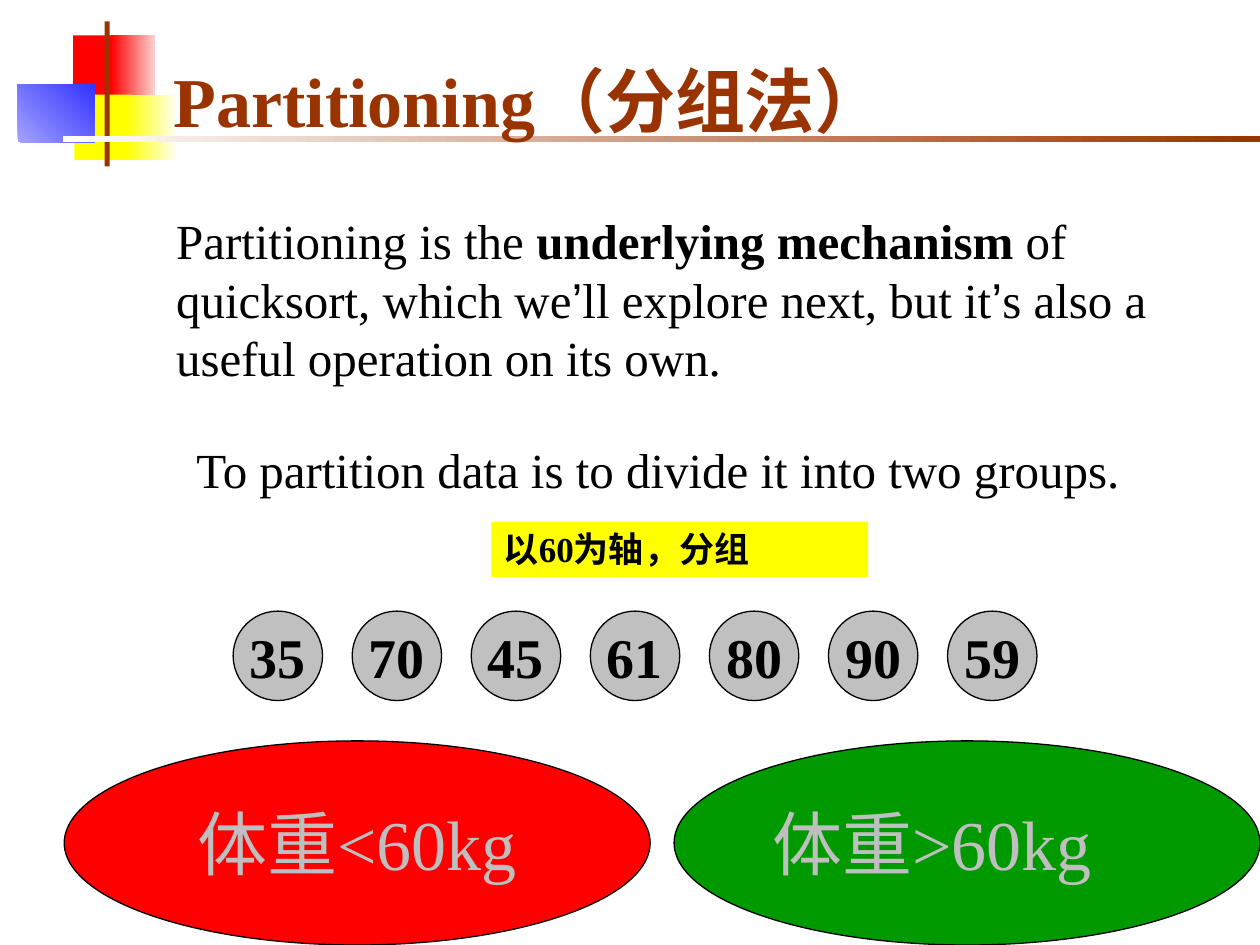
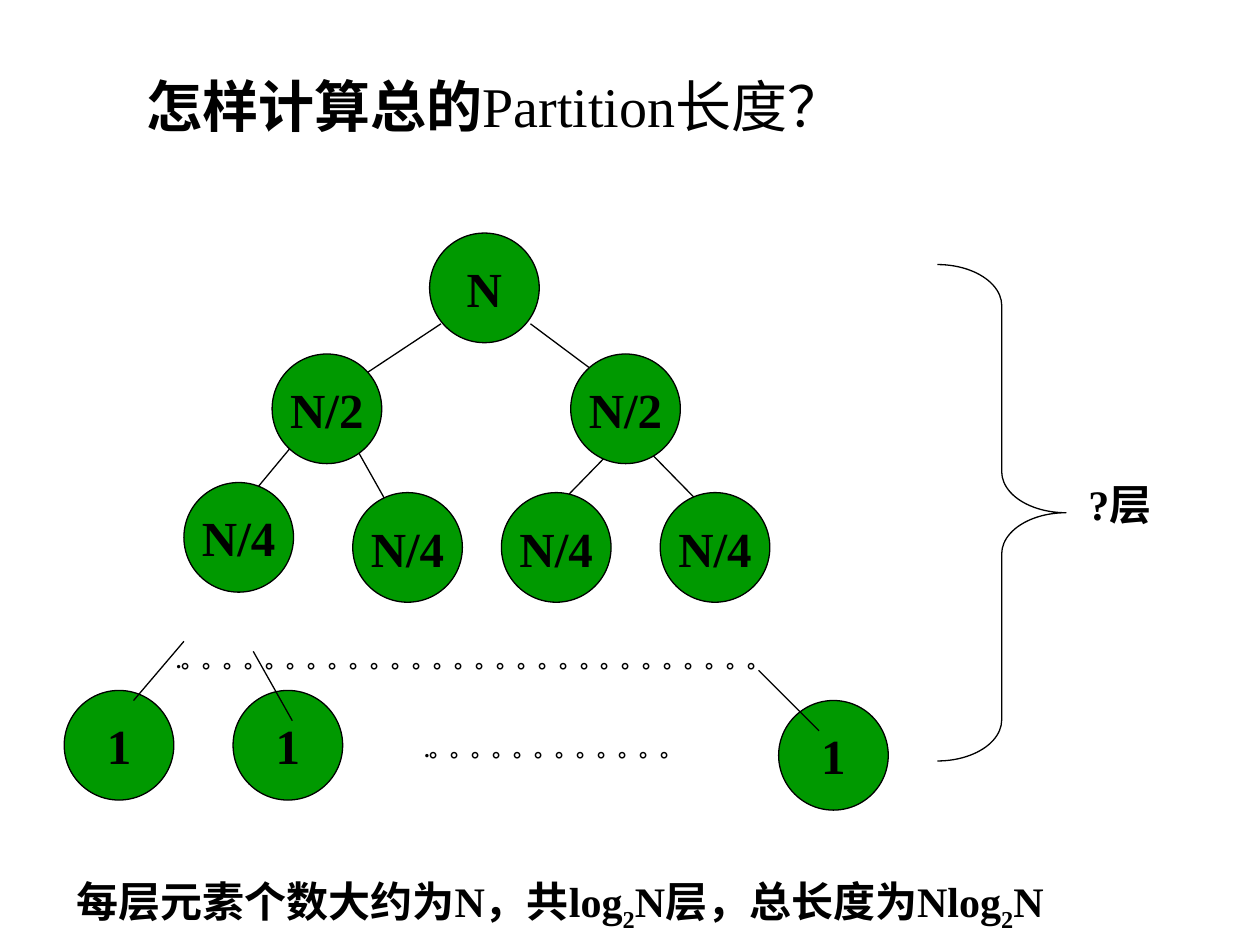
from lxml import etree
from pptx import Presentation
from pptx.dml.color import RGBColor
from pptx.enum.shapes import MSO_CONNECTOR, MSO_SHAPE as SHAPE
from pptx.enum.text import MSO_ANCHOR as ANCHOR, MSO_AUTO_SIZE as AUTO, PP_ALIGN as ALIGN
from pptx.oxml.ns import qn
from pptx.util import Inches, Pt

FONT = "Times New Roman"
BLACK, WHITE, BROWN = "000000", "FFFFFF", "993300"
RED, GREEN, YELLOW = "FF0000", "009900", "FFFF00"
GREY, LIGHT_GREY = "C0C0C0", "BFBFBF"
TITLE_ONLY = 5


def rgb(color):
    return RGBColor.from_string(color)


def write(shape, parts, size, color=BLACK, bold=False, align=ALIGN.LEFT, anchor=ANCHOR.TOP, wrap=True):
    """Fill a shape with one paragraph; parts is a string or (text, options) pairs."""
    tf = shape.text_frame
    tf.word_wrap, tf.vertical_anchor, tf.auto_size = wrap, anchor, AUTO.NONE
    p = tf.paragraphs[0]
    p.alignment = align
    for text, options in [(parts, {})] if isinstance(parts, str) else parts:
        r = p.add_run()
        r.text = text
        font = r.font
        font.size, font.color.rgb = Pt(size), rgb(color)
        font.name = options.get("font", FONT)
        font.bold = options.get("bold", bold)
        if "baseline" in options:
            font._element.set("baseline", str(options["baseline"] * 1000))
    return p


def place(shape, box):
    shape.left, shape.top, shape.width, shape.height = map(Inches, box)


def add_text(s, box, parts, size, **style):
    return write(s.shapes.add_textbox(*map(Inches, box)), parts, size, **style)


def add_shape(s, kind, box, fill=None, line=None):
    sp = s.shapes.add_shape(kind, *map(Inches, box))
    sp.shadow.inherit = False
    if fill:
        sp.fill.solid()
        sp.fill.fore_color.rgb = rgb(fill)
    else:
        sp.fill.background()
    if line:
        sp.line.color.rgb, sp.line.width = rgb(line), Pt(0.75)
    else:
        sp.line.fill.background()
    return sp


def add_gradient(s, box, start, end, angle):
    fill = add_shape(s, SHAPE.RECTANGLE, box).fill
    fill.gradient()
    fill.gradient_angle = angle
    for stop, color, position in zip(fill.gradient_stops, (start, end), (0, 1)):
        stop.color.rgb, stop.position = rgb(color), position


def add_ellipse(s, box, text, size, fill, color=BLACK, bold=True, align=ALIGN.CENTER):
    sp = add_shape(s, SHAPE.OVAL, box, fill, BLACK)
    write(sp, text, size, color=color, bold=bold, align=align, anchor=ANCHOR.MIDDLE, wrap=False)


def add_line(s, x1, y1, x2, y2):
    line = s.shapes.add_connector(MSO_CONNECTOR.STRAIGHT, *map(Inches, (x1, y1, x2, y2)))
    line.line.color.rgb, line.line.width = rgb(BLACK), Pt(0.75)
    etree.SubElement(line._element.spPr, qn("a:effectLst"))


def add_title(s, box, parts, size, **style):
    """Format the title placeholder and bring it in front of the shapes so far."""
    title = s.shapes.title
    place(title, box)
    title.element.getparent().append(title.element)
    return write(title, parts, size, **style)


def new_slide(prs):
    s = prs.slides.add_slide(prs.slide_layouts[TITLE_ONLY])
    s.background.fill.solid()
    s.background.fill.fore_color.rgb = rgb(WHITE)
    return s


def corner_ornament(s, x, y):
    """Coloured squares, upright bar and rule, from the top left corner x, y."""
    add_shape(s, SHAPE.RECTANGLE, (x + 0.44, y + 0.11, 0.35, 0.52), RED)
    add_gradient(s, (x + 0.74, y + 0.11, 0.35, 0.52), "FFD1D1", RED, 180)
    add_shape(s, SHAPE.RECTANGLE, (x + 0.45, y + 0.58, 0.46, 0.52), YELLOW)
    add_gradient(s, (x + 0.86, y + 0.58, 0.4, 0.52), "FFFFEF", YELLOW, 180)
    add_gradient(s, (x, y + 0.5, 0.61, 0.46), "A3A3FF", "3333FF", 45)
    add_shape(s, SHAPE.RECTANGLE, (x + 0.69, y, 0.04, 1.15), BROWN)
    add_gradient(s, (x + 0.36, y + 0.91, 9.5, 0.05), WHITE, BROWN, 0)


def weight_circles(s, x, y, size, step):
    for i, weight in enumerate((35, 70, 45, 61, 80, 90, 59)):
        add_ellipse(s, (x + i * step, y, size, size), str(weight), 32, GREY)


def weight_groups(s, x, y, w, h, step):
    groups = (("体重<60kg", RED, ALIGN.CENTER), ("体重>60kg", GREEN, ALIGN.LEFT))
    for i, (text, fill, align) in enumerate(groups):
        add_ellipse(s, (x + i * step, y, w, h), text, 40, fill, LIGHT_GREY, False, align)


def partitioning_slide(prs):
    s = new_slide(prs)
    corner_ornament(s, 0.14, 0.17)
    p = add_title(s, (1.22, 0.25, 8.63, 0.92), "Partitioning（分组法）", 40,
                  color=BROWN, bold=True, anchor=ANCHOR.BOTTOM)
    p.line_spacing = Pt(48)
    p._p.get_or_add_pPr().set("marL", str(Inches(0.06)))
    apostrophe = ("’", {"font": "Arial"})
    add_text(s, (1.3, 1.62, 8.03, 1.5), [
        ("Partitioning is the ", {}), ("underlying mechanism", {"bold": True}),
        (" of quicksort, which we", {}), apostrophe,
        ("ll explore next, but it", {}), apostrophe,
        ("s also a useful operation on its own.", {})], 28)
    add_text(s, (1.46, 3.44, 8.54, 0.57), "To partition data is to divide it into two groups.", 28)
    weight_groups(s, 0.51, 5.88, 4.65, 1.62, 4.84)
    weight_circles(s, 1.85, 4.85, 0.71, 0.945)
    pivot = add_shape(s, SHAPE.RECTANGLE, (3.9, 4.14, 2.99, 0.44), YELLOW)
    write(pivot, "以60为轴，分组", 20, bold=True)


def partition_tree(s, x, y):
    """Tree of part sizes; x, y is the top left corner of its bounding box."""
    branches = ((2.99, 0.72, 2.28, 1.19), (3.7, 0.72, 4.33, 1.19),
                (1.89, 1.59, 1.5, 2.06), (2.29, 1.66, 2.6, 2.21),
                (4.33, 1.74, 3.94, 2.14), (4.57, 1.66, 5.04, 2.14))
    leaf_branches = ((0.95, 3.24, 0.55, 3.71), (1.5, 3.32, 1.81, 3.87), (5.51, 3.47, 5.99, 3.95))
    nodes = (("N", 2.9, 0), ("N/2", 1.65, 0.96), ("N/2", 4.02, 0.96),
             ("N/4", 0.95, 1.98), ("N/4", 2.29, 2.06), ("N/4", 3.47, 2.06), ("N/4", 4.73, 2.06),
             ("1", 0, 3.63), ("1", 1.34, 3.63), ("1", 5.67, 3.71))
    dotted_rows = ((0.79, 3.24, 5.28, 28), (2.76, 3.95, 2.52, 12))

    def add_branches(lines):
        for x1, y1, x2, y2 in lines:
            add_line(s, x + x1, y + y1, x + x2, y + y2)

    add_branches(branches)
    for text, dx, dy in nodes:
        add_ellipse(s, (x + dx, y + dy, 0.87, 0.87), text, 28, GREEN)
    for dx, dy, w, count in dotted_rows:
        add_text(s, (x + dx, y + dy, w, 0.3), "." + "。" * count, 12, bold=True)
    add_branches(leaf_branches)


def level_brace(s, x, y, w, h):
    brace = add_shape(s, SHAPE.RIGHT_BRACE, (x, y, w, h), line=BLACK)
    brace.adjustments[0] = 0.32
    add_text(s, (x + w + 0.08, y + h / 2 - 0.32, 1.46, 0.5), "?层", 24, bold=True)


def length_slide(prs):
    s = new_slide(prs)
    add_title(s, (1.06, 0.52, 7.4, 0.64),
              [("怎样计算总的", {"bold": True}), ("Partition长度？", {})], 32)
    partition_tree(s, 0.51, 1.85)
    level_brace(s, 7.44, 2.1, 1.02, 3.94)
    subscript = ("2", {"baseline": -25})
    add_text(s, (0.51, 6.9, 8.74, 0.56), [
        ("每层元素个数大约为N，共log", {}), subscript,
        ("N层，总长度为Nlog", {}), subscript, ("N", {})], 24, bold=True)


def main():
    prs = Presentation()
    prs.slide_width, prs.slide_height = Inches(10), Inches(7.5)
    partitioning_slide(prs)
    length_slide(prs)
    prs.save("out.pptx")


if __name__ == "__main__":
    main()
